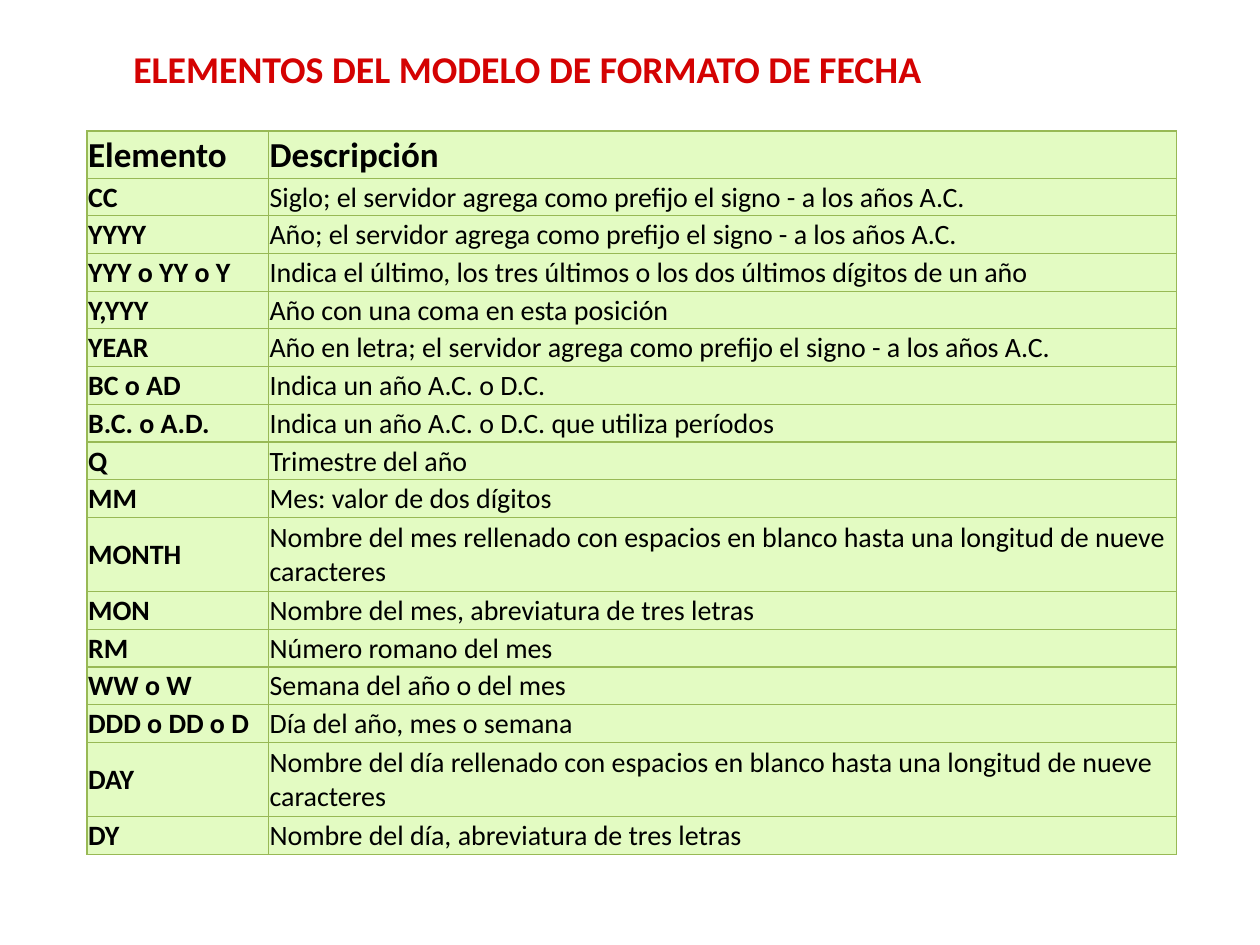
"""Build a slide with a table of date format model elements."""
from lxml.etree import SubElement
from pptx import Presentation
from pptx.dml.color import RGBColor
from pptx.enum.text import MSO_ANCHOR as ANCHOR, PP_ALIGN as ALIGN
from pptx.oxml.ns import qn
from pptx.util import Pt

RED = RGBColor(0xD4, 0x02, 0x02)
BLACK = RGBColor(0x00, 0x00, 0x00)
PALE_GREEN = RGBColor(0xE3, 0xFB, 0xC2)
GREEN = RGBColor(0x98, 0xB9, 0x55)

ROWS = [
    ("Elemento", "Descripción"),
    ("CC", "Siglo; el servidor agrega como prefijo el signo - a los años A.C."),
    ("YYYY", "Año; el servidor agrega como prefijo el signo - a los años A.C."),
    ("YYY o YY o Y", "Indica el último, los tres últimos o los dos últimos dígitos de un año"),
    ("Y,YYY", "Año con una coma en esta posición"),
    ("YEAR", "Año en letra; el servidor agrega como prefijo el signo - a los años A.C."),
    ("BC o AD", "Indica un año A.C. o D.C."),
    ("B.C. o A.D.", "Indica un año A.C. o D.C. que utiliza períodos"),
    ("Q", "Trimestre del año"),
    ("MM", "Mes: valor de dos dígitos"),
    ("MONTH", "Nombre del mes rellenado con espacios en blanco hasta una longitud de nueve caracteres"),
    ("MON", "Nombre del mes, abreviatura de tres letras"),
    ("RM", "Número romano del mes"),
    ("WW o W", "Semana del año o del mes"),
    ("DDD o DD o D", "Día del año, mes o semana"),
    ("DAY", "Nombre del día rellenado con espacios en blanco hasta una longitud de nueve caracteres"),
    ("DY", "Nombre del día, abreviatura de tres letras"),
]
COL_WIDTHS = (103.7, 519.1)
HEADER_H, ROW_H, TALL_H = 26.9, 21.55, 42.4
TALL_ELEMENTS = ("MONTH", "DAY")


def set_font(p, size, color, bold):
    p.font.name = "Calibri"
    p.font.size = Pt(size)
    p.font.bold = bold
    p.font.color.rgb = color


def add_borders(cell):
    tc_pr = cell._tc.get_or_add_tcPr()
    for i, side in enumerate(("lnL", "lnR", "lnT", "lnB")):
        ln = SubElement(tc_pr, qn(f"a:{side}"), w=str(Pt(0.75)))
        fill = SubElement(ln, qn("a:solidFill"))
        SubElement(fill, qn("a:srgbClr"), val=str(GREEN))
        tc_pr.insert(i, ln)


prs = Presentation()
prs.slide_width, prs.slide_height = Pt(720), Pt(540)
s = prs.slides.add_slide(prs.slide_layouts[6])

title = s.shapes.add_textbox(Pt(69.1), Pt(13.7), Pt(584), Pt(51.1))
tf = title.text_frame
tf.word_wrap = True
tf.vertical_anchor = ANCHOR.MIDDLE
p = tf.paragraphs[0]
p.text = "ELEMENTOS DEL MODELO DE FORMATO DE FECHA"
set_font(p, 21.6, RED, True)

heights = [HEADER_H] + [TALL_H if name in TALL_ELEMENTS else ROW_H for name, _ in ROWS[1:]]
table = s.shapes.add_table(len(ROWS), len(COL_WIDTHS), Pt(49.7), Pt(74.9),
                           Pt(sum(COL_WIDTHS)), Pt(sum(heights))).table
table.horz_banding = False
for col, width in zip(table.columns, COL_WIDTHS):
    col.width = Pt(width)
for row, height in zip(table.rows, heights):
    row.height = Pt(height)

for i, texts in enumerate(ROWS):
    for j, text in enumerate(texts):
        cell = table.cell(i, j)
        cell.margin_left = cell.margin_right = cell.margin_top = Pt(0.7)
        cell.margin_bottom = Pt(0)
        cell.vertical_anchor = ANCHOR.MIDDLE
        cell.fill.solid()
        cell.fill.fore_color.rgb = PALE_GREEN
        add_borders(cell)
        p = cell.text_frame.paragraphs[0]
        p.text = text
        p.alignment = ALIGN.JUSTIFY if i > 0 and j == 0 else ALIGN.LEFT
        set_font(p, 20 if i == 0 else 16, BLACK, i == 0 or j == 0)

prs.save("out.pptx")
